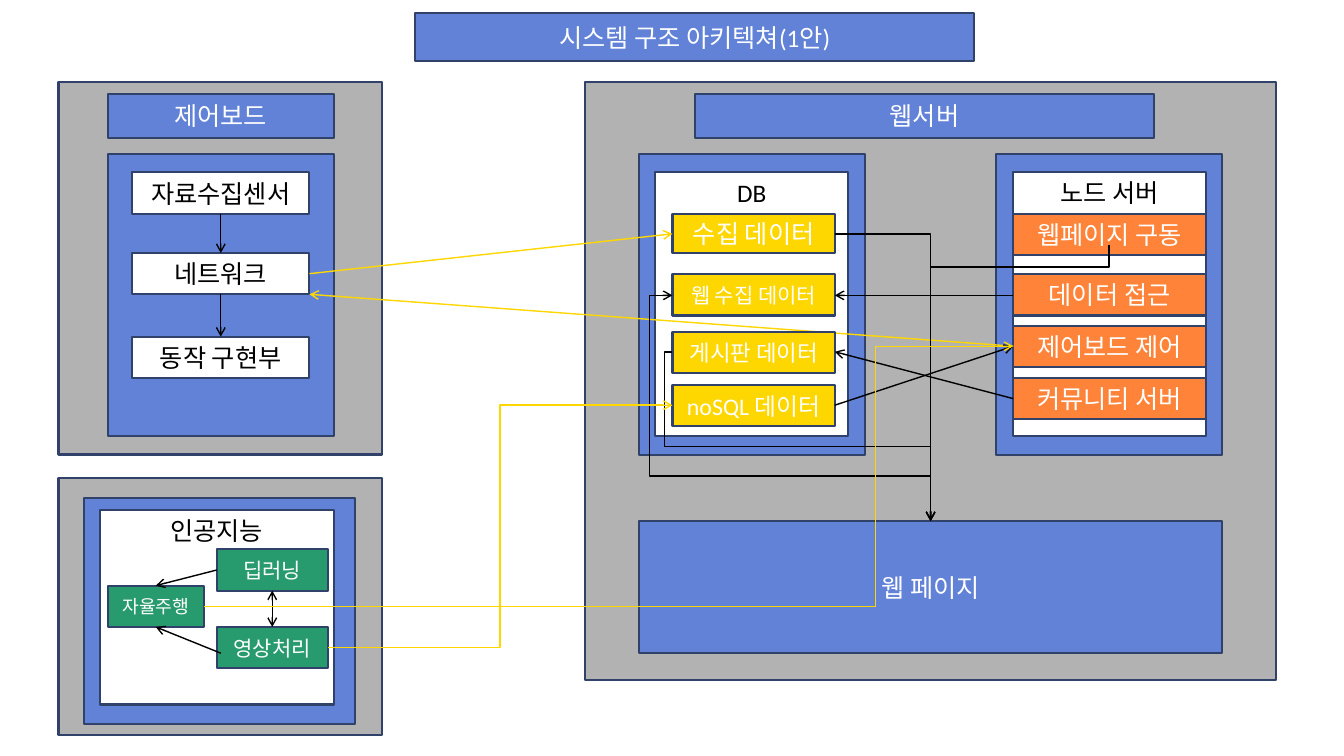
from dataclasses import dataclass
from lxml.etree import SubElement
from pptx import Presentation
from pptx.dml.color import RGBColor
from pptx.enum.shapes import MSO_CONNECTOR, MSO_SHAPE
from pptx.enum.text import MSO_ANCHOR, MSO_AUTO_SIZE, PP_ALIGN
from pptx.oxml.ns import qn
from pptx.util import Inches, Pt


@dataclass(frozen=True)
class Theme:
    font: str = "Calibri"
    grey: str = "B2B2B2"
    blue: str = "6182D6"
    white: str = "FFFFFF"
    black: str = "000000"
    gold: str = "FFD700"
    orange: str = "FF843A"
    green: str = "289B6E"
    edge: str = "30416A"
    body: int = 18
    edge_width: float = 1.5
    arrow_width: float = 1


t = Theme()
prs = Presentation()
prs.slide_width, prs.slide_height = Inches(13.33), Inches(7.5)
s = prs.slides.add_slide(prs.slide_layouts[5])


def box(x, y, w, h, fill, text="", size=t.body, top=False, sp=None):
    if sp is None:
        sp = s.shapes.add_shape(MSO_SHAPE.RECTANGLE, 0, 0, 0, 0)
        sp.shadow.inherit = False
    sp.left, sp.top, sp.width, sp.height = map(Inches, (x, y, w, h))
    sp.fill.solid()
    sp.fill.fore_color.rgb = RGBColor.from_string(fill)
    sp.line.color.rgb = RGBColor.from_string(t.edge)
    sp.line.width = Pt(t.edge_width)
    if text:
        tf = sp.text_frame
        tf.word_wrap = True
        tf.auto_size = MSO_AUTO_SIZE.NONE
        tf.margin_left = tf.margin_right = 0
        tf.vertical_anchor = MSO_ANCHOR.TOP if top else MSO_ANCHOR.MIDDLE
        p = tf.paragraphs[0]
        p.alignment = PP_ALIGN.CENTER
        r = p.add_run()
        r.text = text
        r.font.name, r.font.size = t.font, Pt(size)
        r.font.color.rgb = RGBColor.from_string(t.black if fill == t.white else t.white)


def arrow(start, end, color=t.black, bend=0, adj=(), turned=False, both=False):
    (x1, y1), (x2, y2) = start, end
    if turned:
        cx, cy, dx, dy = (x1 + x2) / 2, (y1 + y2) / 2, (x1 - x2) / 2, (y1 - y2) / 2
        x1, y1, x2, y2 = cx + dy, cy - dx, cx - dy, cy + dx
    kind = MSO_CONNECTOR.ELBOW if bend else MSO_CONNECTOR.STRAIGHT
    c = s.shapes.add_connector(kind, *map(Inches, (x1, y1, x2, y2)))
    c.line.color.rgb = RGBColor.from_string(color)
    c.line.width = Pt(t.arrow_width)
    pr = c._element.spPr
    if turned:
        pr.find(qn("a:xfrm")).set("rot", "5400000")
    if bend:
        geom = pr.find(qn("a:prstGeom"))
        geom.set("prst", f"bentConnector{bend}")
        for i, share in enumerate(adj, 1):
            SubElement(geom.find(qn("a:avLst")), qn("a:gd"), name=f"adj{i}", fmla=f"val {round(share * 100000)}")
    for tag in ("a:headEnd", "a:tailEnd")[0 if both else 1:]:
        SubElement(pr.find(qn("a:ln")), qn(tag), type="arrow")
    SubElement(pr, qn("a:effectLst"))


mcu_x, mcu_w, step_x, step_w = 1.07, 2.24, 1.31, 1.76
db_x, node_x, panel_w = 6.34, 9.88, 2.24
data_x, data_w, task_x, task_w = 6.67, 1.61, 10.05, 1.91
ai_x, ai_w, drive_x, drive_w = 2.15, 1.1, 1.07, 0.95
head_y, panel_y, card_y, page_y = 0.93, 1.53, 1.71, 5.17
row_h, head_h, card_h = 0.41, 0.44, 2.62
half = row_h / 2
data_r, step_r = data_x + data_w, step_x + step_w
step_mid, ai_mid, drive_mid = step_x + step_w / 2, ai_x + ai_w / 2, drive_x + drive_w / 2
step_rows, task_rows = (1.71, 2.51, 3.34), (2.12, 2.72, 3.23, 3.75)
sensor_y, image_y, deep_y, drive_y = 2.32, 6.22, 5.45, 5.81
store_y, board_y, nosql_y = 2.93, 3.49, 4.02
control = (task_x, task_rows[2] + half)
page = (9.23, page_y)

box(4.12, 0.13, 5.54, 0.48, t.blue, "시스템 구조 아키텍쳐(1안)", sp=s.shapes.title)

for x, y, w, h, fill in (
    (0.58, 0.81, 3.21, 3.7, t.grey),
    (mcu_x, panel_y, mcu_w, 2.8, t.blue),
    (5.8, 0.81, 6.86, 5.94, t.grey),
    (node_x, panel_y, panel_w, 2.98, t.blue),
    (db_x, panel_y, panel_w, 2.98, t.blue),
    (0.58, 4.74, 3.21, 2.55, t.grey),
    (0.83, 4.94, 2.69, 2.24, t.blue),
):
    box(x, y, w, h, fill)

box(db_x, page_y, node_x + panel_w - db_x, 1.31, t.blue, "웹 페이지")
box(6.89, head_y, 4.56, head_h, t.blue, "웹서버")
box(mcu_x, head_y, mcu_w, head_h, t.blue, "제어보드")
box(6.5, card_y, task_w, card_h, t.white, "DB", top=True)
box(task_x, card_y, task_w, card_h, t.white, "노드 서버", top=True)
box(0.99, 5.06, 2.32, 1.93, t.white, "인공지능", top=True)

for y, text in zip(step_rows, ("자료수집센서", "네트워크", "동작 구현부")):
    box(step_x, y, step_w, row_h, t.white, text)
for y, text in zip(task_rows, ("웹페이지 구동", "데이터 접근", "제어보드 제어", "커뮤니티 서버")):
    box(task_x, y, task_w, row_h, t.orange, text)

arrow(control, (step_r, step_rows[1] + row_h), t.gold)

for y, h, text, size in (
    (2.12, 0.39, "수집 데이터", 18),
    (2.72, row_h, "웹 수집 데이터", 15),
    (3.29, row_h, "게시판 데이터", 16),
    (3.82, row_h, "noSQL 데이터", 17),
):
    box(data_x, y, data_w, h, t.gold, text, size)
for x, y, w, text, size in (
    (ai_x, image_y, ai_w, "영상처리", 15),
    (ai_x, deep_y, ai_w, "딥러닝", 15),
    (drive_x, drive_y, drive_w, "자율주행", 13),
):
    box(x, y, w, row_h, t.green, text, size)

for above, below in zip(step_rows, step_rows[1:]):
    arrow((step_mid, above + row_h), (step_mid, below))
arrow((step_r, step_rows[1] + half), (data_x, sensor_y), t.gold)
arrow((task_x, store_y), (data_r, store_y))
arrow((data_r, nosql_y), control)
arrow((task_x, task_rows[3] + half), (data_r, board_y))
arrow((ai_mid, deep_y + row_h), (ai_mid, image_y), both=True)
arrow((2.19, 6.48), (drive_mid, drive_y + row_h))
arrow((ai_x, deep_y + half), (drive_mid, drive_y))

arrow((11, 2.43), page, bend=3, adj=(0.08,), turned=True)
arrow((data_r, sensor_y), page, bend=2)
arrow(page, (data_x, store_y), bend=4, adj=(0.2, 1.09), turned=True)
arrow((data_x, board_y), page, bend=4, adj=(-0.03, 0.56))
arrow((ai_x + ai_w, image_y + half), (data_x, nosql_y), t.gold, bend=3, adj=(0.5,))
arrow((drive_x + drive_w, drive_y + half), control, t.gold, bend=3, adj=(0.83,))

prs.save("out.pptx")
